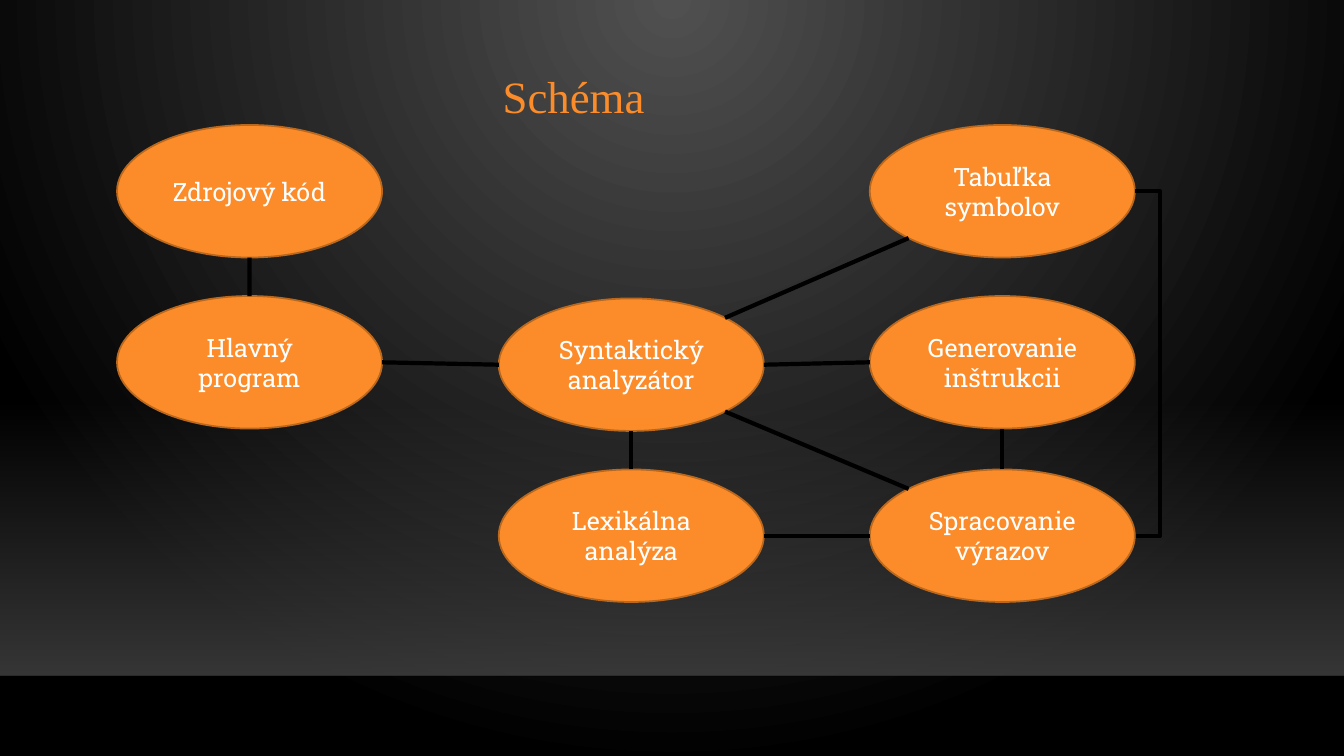
from dataclasses import dataclass
from math import cos, pi, sin

from lxml import etree
from pptx import Presentation
from pptx import util as u
from pptx.dml.color import RGBColor
from pptx.enum import shapes, text
from pptx.oxml.ns import qn

COLORS = {
    "glow": "505050", "black": "000000", "floor": "454545", "edge": "000001",
    "orange": "FB8C29", "outline": "BA681E", "white": "FFFFFF",
}
SLIDE_W, SLIDE_H = 33.87, 19.05
OVAL_W, OVAL_H = 6.68, 3.34
LEFT, MIDDLE, RIGHT = 2.95, 12.57, 21.92
TOP, CENTER, BOTTOM = 3.15, 7.46, 11.83
FLOOR_TOP, FLOOR_BOTTOM = 10.06, 17.03
BEND, BEND_WIDTH = 0.64, 0.03

# Connection sites of an ellipse, counted anticlockwise from the top
(SITE_TOP, SITE_TOP_LEFT, SITE_LEFT, SITE_BOTTOM_LEFT,
 SITE_BOTTOM, SITE_BOTTOM_RIGHT, SITE_RIGHT, SITE_TOP_RIGHT) = range(8)


@dataclass(frozen=True)
class Module:
    label: str
    left: float
    top: float

    def site(self, index: int) -> tuple[float, float]:
        angle = index * pi / 4
        return (self.left + OVAL_W / 2 * (1 - sin(angle)),
                self.top + OVAL_H / 2 * (1 - cos(angle)))


@dataclass(frozen=True)
class Link:
    start: str
    start_site: int
    end: str
    end_site: int


MODULES = {
    "generator": Module("Generovanie inštrukcii", RIGHT, CENTER),
    "parser": Module("Syntaktický analyzátor", MIDDLE, CENTER + 0.06),
    "main": Module("Hlavný program", LEFT, CENTER),
    "source": Module("Zdrojový kód", LEFT, TOP),
    "symbols": Module("Tabuľka symbolov", RIGHT, TOP),
    "lexer": Module("Lexikálna analýza", MIDDLE, BOTTOM),
    "expressions": Module("Spracovanie výrazov", RIGHT, BOTTOM),
}
LINKS = [
    Link("source", SITE_BOTTOM, "main", SITE_TOP),
    Link("expressions", SITE_LEFT, "lexer", SITE_RIGHT),
    Link("expressions", SITE_TOP_LEFT, "parser", SITE_BOTTOM_RIGHT),
    Link("parser", SITE_RIGHT, "generator", SITE_LEFT),
    Link("lexer", SITE_TOP, "parser", SITE_BOTTOM),
    Link("parser", SITE_LEFT, "main", SITE_RIGHT),
    Link("expressions", SITE_TOP, "generator", SITE_BOTTOM),
    Link("parser", SITE_TOP_RIGHT, "symbols", SITE_BOTTOM_LEFT),
]


def rgb(name: str) -> RGBColor:
    return RGBColor.from_string(COLORS[name])


def set_alpha(color_parent, percent: int) -> None:
    color = color_parent.find(".//" + qn("a:srgbClr"))
    etree.SubElement(color, qn("a:alpha"), val=str(percent * 1000))


def set_gradient(fill, first: str, last: str) -> None:
    fill.gradient()
    for stop, position, name in zip(fill.gradient_stops, (0, 1), (first, last)):
        stop.position = position
        stop.color.rgb = rgb(name)


def add_line(slide, kind, start, end, color: str, width: float):
    line = slide.shapes.add_connector(kind, *(u.Cm(v) for v in (*start, *end)))
    line.line.color.rgb = rgb(color)
    line.line.width = u.Pt(width)
    etree.SubElement(line._element.spPr, qn("a:effectLst"))
    return line


def add_backdrop(slide) -> None:
    # Radial glow from the top centre
    set_gradient(slide.background.fill, "glow", "black")
    gradient = slide._element.find(".//" + qn("a:gradFill"))
    gradient.remove(gradient.find(qn("a:lin")))
    radial = etree.SubElement(gradient, qn("a:path"), {"path": "circle"})
    etree.SubElement(radial, qn("a:fillToRect"), l="43000", t="0", r="43000", b="100000")

    # Floor that fades in downwards, and its edge
    floor = slide.shapes.add_shape(
        shapes.MSO_SHAPE.RECTANGLE, 0, u.Cm(FLOOR_TOP),
        u.Cm(SLIDE_W), u.Cm(FLOOR_BOTTOM - FLOOR_TOP))
    floor.shadow.inherit = False
    floor.line.fill.background()
    set_gradient(floor.fill, "floor", "floor")
    floor.fill.gradient_angle = 270
    for stop, alpha in zip(floor._element.iter(qn("a:gs")), (0, 80)):
        set_alpha(stop, alpha)
    edge = add_line(slide, shapes.MSO_CONNECTOR.STRAIGHT, (0, FLOOR_BOTTOM),
                    (SLIDE_W, FLOOR_BOTTOM), "edge", 1)
    set_alpha(edge._element.spPr.find(qn("a:ln")), 20)


def add_title(slide, label: str) -> None:
    title = slide.shapes.title
    title.left, title.top = u.Cm(1.12), u.Cm(1.04)
    title.width, title.height = u.Cm(26.67), u.Cm(2.92)
    title.text_frame.text = label
    title.text_frame.vertical_anchor = text.MSO_ANCHOR.MIDDLE
    paragraph = title.text_frame.paragraphs[0]
    paragraph.alignment = text.PP_ALIGN.CENTER
    paragraph.line_spacing = 0.9
    paragraph.font.name = "Times New Roman"
    paragraph.font.size = u.Pt(32)
    paragraph.font.color.rgb = rgb("orange")
    slide.shapes._spTree.append(title._element)  # in front of the floor


def add_module(slide, module: Module):
    oval = slide.shapes.add_shape(
        shapes.MSO_SHAPE.OVAL, u.Cm(module.left), u.Cm(module.top),
        u.Cm(OVAL_W), u.Cm(OVAL_H))
    oval.shadow.inherit = False
    oval.fill.solid()
    oval.fill.fore_color.rgb = rgb("orange")
    oval.line.color.rgb = rgb("outline")
    oval.line.width = u.Pt(1.25)
    frame = oval.text_frame
    frame.text = module.label
    frame.word_wrap = True
    frame.vertical_anchor = text.MSO_ANCHOR.MIDDLE
    paragraph = frame.paragraphs[0]
    paragraph.alignment = text.PP_ALIGN.CENTER
    paragraph.font.name = "Roboto Slab"
    paragraph.font.size = u.Pt(18)
    paragraph.font.color.rgb = rgb("white")
    return oval


def add_link(slide, link: Link, ovals: dict) -> None:
    line = add_line(slide, shapes.MSO_CONNECTOR.STRAIGHT,
                    MODULES[link.start].site(link.start_site),
                    MODULES[link.end].site(link.end_site), "black", 3)
    # begin_connect only knows the four sites of a rectangle
    joints = line._element.find(".//" + qn("p:cNvCxnSpPr"))
    for tag, name, site in (("a:stCxn", link.start, link.start_site),
                            ("a:endCxn", link.end, link.end_site)):
        etree.SubElement(joints, qn(tag), id=str(ovals[name].shape_id), idx=str(site))


def add_bent_link(slide, start: Module, end: Module) -> None:
    x, y = start.site(SITE_RIGHT)
    bent = add_line(slide, shapes.MSO_CONNECTOR.ELBOW, (x, y),
                    (x + BEND_WIDTH, end.site(SITE_RIGHT)[1]), "black", 3)
    guides = bent._element.find(".//" + qn("a:avLst"))
    ratio = round(BEND / BEND_WIDTH * 100000)
    etree.SubElement(guides, qn("a:gd"), name="adj1", fmla=f"val {ratio}")


def main() -> None:
    deck = Presentation()
    deck.slide_width, deck.slide_height = u.Cm(SLIDE_W), u.Cm(SLIDE_H)
    slide = deck.slides.add_slide(deck.slide_layouts.get_by_name("Title Only"))

    add_backdrop(slide)
    add_title(slide, "Schéma")
    ovals = {name: add_module(slide, module) for name, module in MODULES.items()}
    for link in LINKS:
        add_link(slide, link, ovals)
    add_bent_link(slide, MODULES["symbols"], MODULES["expressions"])

    deck.save("out.pptx")


if __name__ == "__main__":
    main()
